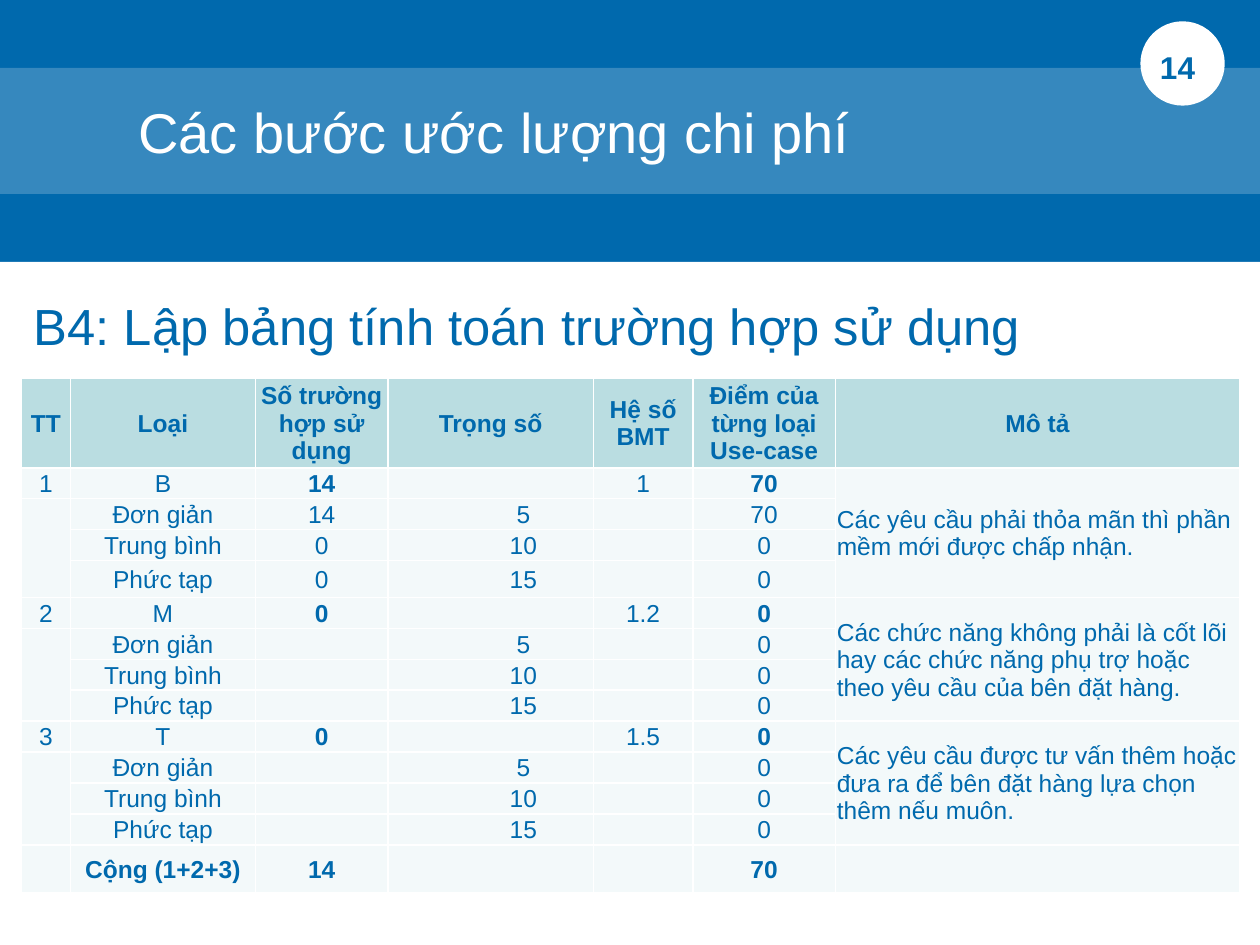
import pptx
import pptx.dml.color
import pptx.enum.shapes
import pptx.enum.text
import pptx.oxml
import pptx.oxml.ns
import pptx.util
from lxml import etree

Cm, Pt = pptx.util.Cm, pptx.util.Pt
RGBColor = pptx.dml.color.RGBColor
ALIGN = pptx.enum.text.PP_ALIGN
ANCHOR = pptx.enum.text.MSO_ANCHOR
SHAPE = pptx.enum.shapes.MSO_SHAPE
qn = pptx.oxml.ns.qn

BLUE = RGBColor(0x00, 0x69, 0xAD)
WHITE = RGBColor(0xFF, 0xFF, 0xFF)
HEADER_FILL = RGBColor(0xBA, 0xDD, 0xE1)
BODY_FILL = RGBColor(0xF3, 0xF9, 0xFA)

TITLE = "Các bước ước lượng chi phí"
PAGE_NUMBER = "14"
SUBTITLE = "B4: Lập bảng tính toán trường hợp sử dụng"
HEADER = ["TT", "Loại", "Số trường hợp sử dụng", "Trọng số", "Hệ số BMT",
          "Điểm của từng loại Use-case", "Mô tả"]
LEVELS = [("Đơn giản", "5"), ("Trung bình", "10"), ("Phức tạp", "15")]
# kind, count, factor, points, counts by level, points by level, description
GROUPS = [
    ("B", "14", "1", "70", ["14", "0", "0"], ["70", "0", "0"],
     "Các yêu cầu phải thỏa mãn thì phần mềm mới được chấp nhận."),
    ("M", "0", "1.2", "0", ["", "", ""], ["0", "0", "0"],
     "Các chức năng không phải là cốt lõi hay các chức năng phụ trợ hoặc "
     "theo yêu cầu của bên đặt hàng."),
    ("T", "0", "1.5", "0", ["", "", ""], ["0", "0", "0"],
     "Các yêu cầu được tư vấn thêm hoặc đưa ra để bên đặt hàng lựa chọn "
     "thêm nếu muôn."),
]
TOTAL = ["", "Cộng (1+2+3)", "14", "", "", "70", ""]

COLUMN_WIDTHS = [0.99, 3.73, 2.67, 4.14, 2.01, 2.87, 8.15]
GROUP_HEIGHTS = [0.56, 0.58, 0.58, 0.58]
ROW_HEIGHTS = [1.12] + GROUP_HEIGHTS * len(GROUPS) + [0.97]
ROW_HEIGHTS[4] = 0.74
WEIGHT, DESCRIPTION = 3, 6
BOLD_COLUMNS = (2, 5)


def set_values(target, values):
    for name, value in values.items():
        setattr(target, name, value)


def write(text_frame, text, size, color, bold=False, alignment=ALIGN.LEFT):
    paragraph = text_frame.paragraphs[0]
    paragraph.alignment = alignment
    if text:
        run = paragraph.add_run()
        run.text = text
        set_values(run.font, {"name": "Arial", "size": Pt(size), "bold": bold})
        run.font.color.rgb = color
    else:
        # keeps an empty cell as low as its row
        etree.SubElement(paragraph._p, qn("a:endParaRPr"), sz=str(size * 100))


def add_filled(slide, kind, box, color):
    shape = slide.shapes.add_shape(kind, *map(Cm, box))
    shape.shadow.inherit = False
    shape.fill.solid()
    shape.fill.fore_color.rgb = color
    shape.line.fill.background()


def add_text(slide, box, text, size, **formats):
    text_frame = slide.shapes.add_textbox(*map(Cm, box)).text_frame
    text_frame.word_wrap = True
    write(text_frame, text, size, BLUE, **formats)


def format_title(slide):
    """Turn the title placeholder into the translucent band on the banner."""
    title = slide.shapes.title
    set_values(title, {"left": 0, "top": Cm(1.37), "width": Cm(25.4), "height": Cm(2.54)})
    title.fill.solid()
    title.fill.fore_color.rgb = WHITE
    color = title.fill._xPr.find(".//" + qn("a:srgbClr"))
    etree.SubElement(color, qn("a:alpha"), val="21000")
    set_values(title.text_frame, {
        "auto_size": pptx.enum.text.MSO_AUTO_SIZE.NONE, "word_wrap": True,
        "vertical_anchor": ANCHOR.MIDDLE, "margin_left": Cm(2.79)})
    write(title.text_frame, TITLE, 32, WHITE)
    slide.shapes._spTree.append(title._element)


def add_borders(cell):
    properties = cell._tc.get_or_add_tcPr()
    for position, side in enumerate(("lnL", "lnR", "lnT", "lnB")):
        line = etree.Element(qn("a:" + side), w=str(Pt(1)))
        fill = etree.SubElement(line, qn("a:solidFill"))
        etree.SubElement(fill, qn("a:srgbClr"), val=str(WHITE))
        properties.insert(position, line)


def table_rows():
    rows = [HEADER]
    for number, group in enumerate(GROUPS, 1):
        kind, count, factor, points, counts, level_points, description = group
        rows.append([str(number), kind, count, "", factor, points, description])
        for (level, weight), level_count, point in zip(LEVELS, counts, level_points):
            rows.append(["", level, level_count, weight, "", point, ""])
    return rows + [TOTAL]


def add_cost_table(slide):
    rows = table_rows()
    table = slide.shapes.add_table(
        len(rows), len(HEADER), Cm(0.43), Cm(7.62),
        Cm(sum(COLUMN_WIDTHS)), Cm(sum(ROW_HEIGHTS))).table
    for column, width in zip(table.columns, COLUMN_WIDTHS):
        column.width = Cm(width)
    for row, height in zip(table.rows, ROW_HEIGHTS):
        row.height = Cm(height)

    group_size = len(LEVELS) + 1
    group_starts = range(1, len(rows) - 1, group_size)
    for start in group_starts:
        end = start + group_size - 1
        table.cell(start, DESCRIPTION).merge(table.cell(end, DESCRIPTION))
        table.cell(start + 1, 0).merge(table.cell(end, 0))

    for i, values in enumerate(rows):
        is_header, is_total = i == 0, i == len(rows) - 1
        for j, text in enumerate(values):
            cell = table.cell(i, j)
            indented = j == WEIGHT and text and not is_header
            set_values(cell, {
                "vertical_anchor": ANCHOR.MIDDLE,
                "margin_left": Cm(1.35 if indented else 0.03),
                "margin_right": Cm(0.03), "margin_top": Cm(0.03), "margin_bottom": 0})
            cell.fill.solid()
            cell.fill.fore_color.rgb = HEADER_FILL if is_header else BODY_FILL
            add_borders(cell)
            bold = is_header or is_total or (i in group_starts and j in BOLD_COLUMNS)
            left = j == DESCRIPTION and not is_header
            write(cell.text_frame, text, 14, BLUE, bold,
                  ALIGN.LEFT if left else ALIGN.CENTER)


def main():
    presentation = pptx.Presentation()
    set_values(presentation, {"slide_width": Cm(25.4), "slide_height": Cm(19.05)})
    slide = presentation.slides.add_slide(presentation.slide_layouts[5])
    add_filled(slide, SHAPE.RECTANGLE, (0, 0, 25.4, 5.28), BLUE)
    format_title(slide)
    add_filled(slide, SHAPE.RECTANGLE, (0, 5.28, 25.4, 13.77), WHITE)
    add_filled(slide, SHAPE.OVAL, (22.99, 0.43, 1.7, 1.7), WHITE)
    add_text(slide, (18.42, 0.84, 5.92, 1.55), PAGE_NUMBER, 18,
             bold=True, alignment=ALIGN.RIGHT)
    add_text(slide, (0.43, 5.82, 24.33, 3), SUBTITLE, 29, alignment=ALIGN.JUSTIFY)
    add_cost_table(slide)
    presentation.save("out.pptx")


if __name__ == "__main__":
    main()
